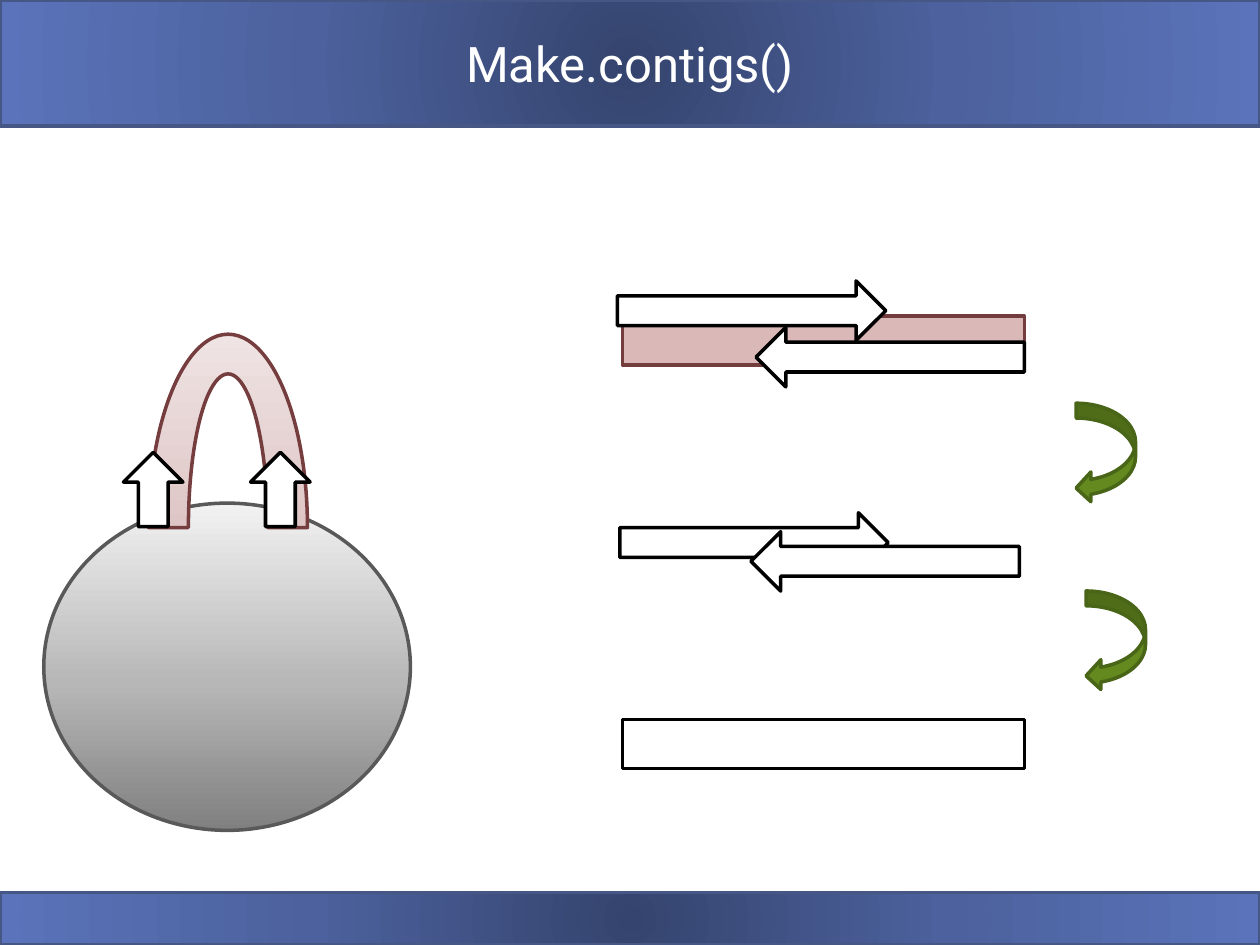
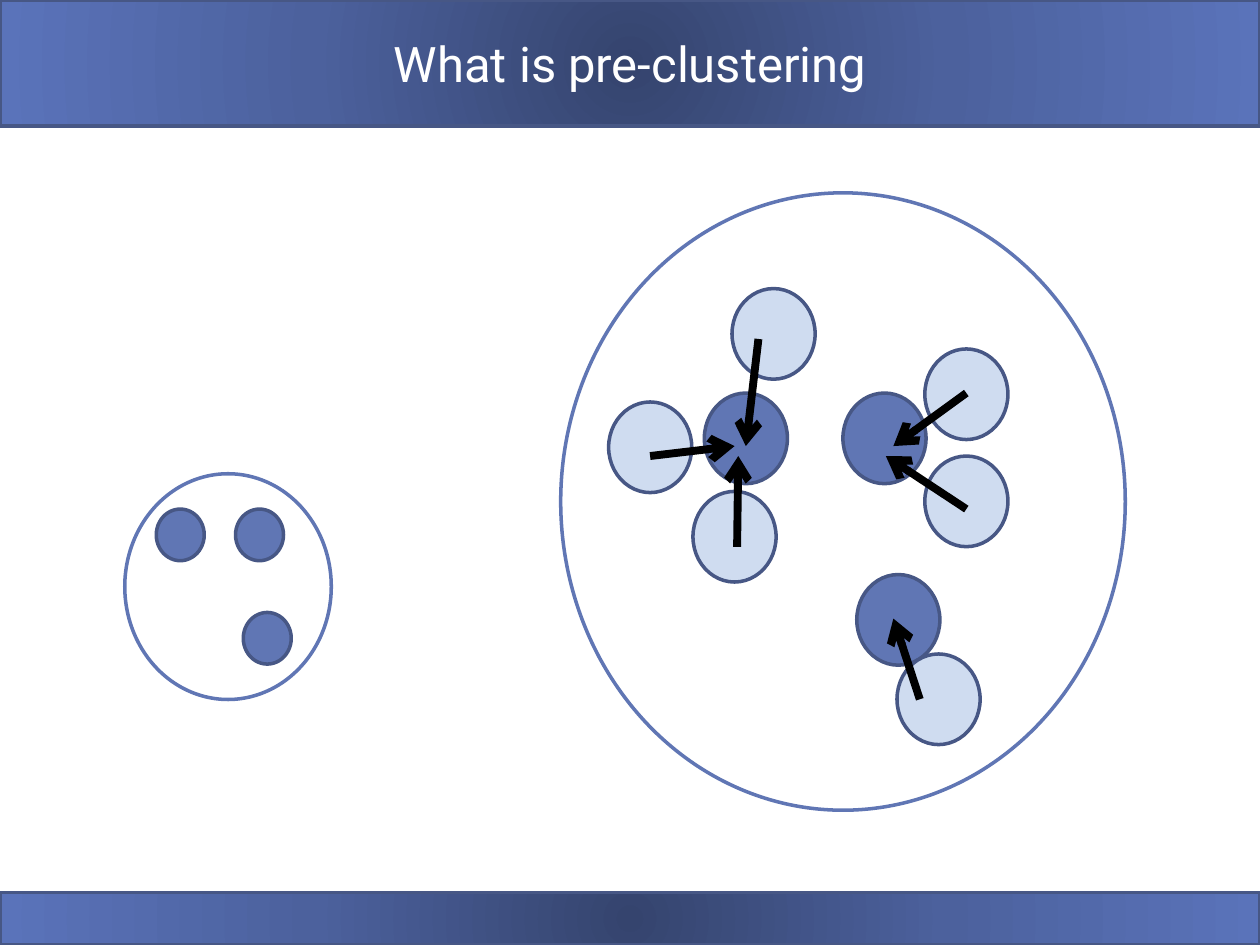
from dataclasses import dataclass

from lxml.etree import SubElement
from pptx import Presentation
from pptx.dml.color import RGBColor
from pptx.enum.shapes import MSO_CONNECTOR as Connector, MSO_SHAPE as Shape
from pptx.enum.text import MSO_ANCHOR as Anchor, PP_ALIGN as Align
from pptx.oxml.ns import qn
from pptx.util import Pt


@dataclass(frozen=True)
class Theme:
    font: str = "Roboto"
    title_size: float = 28
    outline: float = 2
    arrow_width: float = 4.5
    white: str = "FFFFFF"
    black: str = "000000"
    blue: str = "6076B4"
    blue_edge: str = "475785"
    pale_blue: str = "CFDCF0"
    grey_edge: str = "595959"
    loop_edge: str = "753D3D"
    pink: str = "DAB8B8"
    pink_edge: str = "733D3D"
    green: str = "63891F"
    green_edge: str = "496517"
    band_stops: tuple = ((0, "35446E"), (50, "4C619D"), (100, "5A73BA"))
    cell_stops: tuple = ((0, "808080"), (45, "B7B7B7"), (100, "F2F2F2"))
    loop_stops: tuple = ((0, "CEA1A1"), (50, "DFC6C6"), (100, "EFE3E3"))


THEME = Theme()

# Content: all lengths in points
PAGE = (720, 540)
BANDS = [(0, 0, 720, 72), (0, 510, 720, 30)]
TITLE_BOX = (72, 0, 576, 72)

CONTIGS_TITLE = "Make.contigs()"
CELL = (25, 287.5, 209.5, 187)
DNA_LOOP = (85, 191, 90.7, 221)
PRIMER_SIZE = (34, 42.5)
PRIMER_CENTERS = [(87.5, 279.7), (160.2, 279.7)]
TARGET_SIZE = (229.7, 28)
TARGET_LEFT = 355.7
TARGET_TOP, CONTIG_TOP = 180.7, 411.1
READ_SIZE = (34, 153.4)
# Each pair: centre of the forward read, centre of the reverse read
READ_PAIRS = [
    ((429.5, 177.5), (508.7, 204.1)),
    ((430.9, 310), (505.8, 320.8)),
]
STEP_SIZE = (34, 57)
STEP_CORNERS = [(614.9, 230.4), (620.6, 337.7)]

CLUSTER_TITLE = "What is pre-clustering"
SMALL_RING = (71.3, 270.7, 118, 129)
SMALL_DOT = (27.4, 29.5)
SMALL_CORES = [(139, 350), (89.3, 290.9), (134.6, 290.9)]
BIG_RING = (320.4, 110.2, 322.6, 352.8)
BIG_DOT = (47.5, 51.8)
BIG_CORES = [(489.6, 328.3), (402.5, 224.6), (481.7, 224.6)]
# Each variant: corner of its dot, start and end of its merge arrow
VARIANTS = [
    ((418.3, 164.9), (433.4, 193.7), (426.2, 254.9)),
    ((347.8, 229.7), (371.5, 260.6), (419.8, 254.9)),
    ((396, 280.8), (421.2, 312.5), (421.9, 260.6)),
    ((528.5, 199.4), (552.2, 224.6), (510.5, 254.9)),
    ((528.5, 260.6), (552.2, 290.9), (506.2, 260.6)),
    ((512.6, 373.7), (525.6, 399.6), (510.5, 353.5)),
]


# Drawing helpers
def points(values):
    return [Pt(value) for value in values]


def centered(center, size):
    return (center[0] - size[0] / 2, center[1] - size[1] / 2, *size)


def add_gradient(shape, stops, radial=False):
    shape.fill.gradient()
    gradient = shape.element.spPr.find(qn("a:gradFill"))
    for child in list(gradient):
        gradient.remove(child)
    stop_list = SubElement(gradient, qn("a:gsLst"))
    for position, color in stops:
        stop = SubElement(stop_list, qn("a:gs"), pos=str(position * 1000))
        SubElement(stop, qn("a:srgbClr"), val=color)
    if radial:
        route = SubElement(gradient, qn("a:path"), path="circle")
        SubElement(route, qn("a:fillToRect"),
                   dict.fromkeys("ltrb", "50000"))
    else:
        SubElement(gradient, qn("a:lin"), ang="16200000", scaled="0")


def add_figure(shapes, kind, box, edge, fill=None, turn=0):
    figure = shapes.add_shape(kind, *points(box))
    figure.shadow.inherit = False
    figure.rotation = turn
    figure.line.color.rgb = RGBColor.from_string(edge)
    figure.line.width = Pt(THEME.outline)
    if fill:
        figure.fill.solid()
        figure.fill.fore_color.rgb = RGBColor.from_string(fill)
    else:
        figure.fill.background()
    return figure


def add_merge_arrow(shapes, start, end):
    arrow = shapes.add_connector(Connector.STRAIGHT, *points(start + end))
    arrow.line.color.rgb = RGBColor.from_string(THEME.black)
    arrow.line.width = Pt(THEME.arrow_width)
    SubElement(arrow.line._get_or_add_ln(), qn("a:tailEnd"), type="arrow")
    SubElement(arrow.element.spPr, qn("a:effectLst"))


def place(shape, box):
    shape.left, shape.top, shape.width, shape.height = points(box)


# Shared layout: bands behind a centred title
def add_bands(layout, page):
    tree = layout.element.cSld.spTree
    for index, box in enumerate(BANDS):
        band = add_figure(page.shapes, Shape.RECTANGLE, box, THEME.blue_edge)
        add_gradient(band, THEME.band_stops, radial=True)
        band.element.nvSpPr.cNvPr.set("id", str(100 + index))
        tree.insert(2 + index, band.element)


def add_page(deck, layout, title):
    page = deck.slides.add_slide(layout)
    box = page.shapes.title
    place(box, TITLE_BOX)
    frame = box.text_frame
    frame.vertical_anchor = Anchor.MIDDLE
    para = frame.paragraphs[0]
    para.alignment = Align.CENTER
    span = para.add_run()
    span.text = title
    span.font.name = THEME.font
    span.font.size = Pt(THEME.title_size)
    span.font.color.rgb = RGBColor.from_string(THEME.white)
    return page


# Slide 1: primers on a cell, then reads joined into a contig
def draw_contigs(shapes):
    cell = add_figure(shapes, Shape.OVAL, CELL, THEME.grey_edge)
    add_gradient(cell, THEME.cell_stops)
    loop = add_figure(shapes, Shape.BLOCK_ARC, DNA_LOOP, THEME.loop_edge)
    add_gradient(loop, THEME.loop_stops)
    for center in PRIMER_CENTERS:
        add_figure(shapes, Shape.DOWN_ARROW, centered(center, PRIMER_SIZE),
                   THEME.black, THEME.white, turn=180)

    bars = [(TARGET_TOP, THEME.pink_edge, THEME.pink),
            (CONTIG_TOP, THEME.black, THEME.white)]
    for top, edge, fill in bars:
        add_figure(shapes, Shape.RECTANGLE, (TARGET_LEFT, top, *TARGET_SIZE),
                   edge, fill)
    for pair in READ_PAIRS:
        for center, turn in zip(pair, (270, 90)):
            add_figure(shapes, Shape.DOWN_ARROW, centered(center, READ_SIZE),
                       THEME.black, THEME.white, turn)
    for corner in STEP_CORNERS:
        add_figure(shapes, Shape.CURVED_LEFT_ARROW, corner + STEP_SIZE,
                   THEME.green_edge, THEME.green)


# Slide 2: variants merging into their cluster cores
def draw_cluster(shapes, ring, cores, dot_size):
    for corner in cores:
        add_figure(shapes, Shape.OVAL, corner + dot_size,
                   THEME.blue_edge, THEME.blue)
    add_figure(shapes, Shape.OVAL, ring, THEME.blue)


def draw_preclustering(shapes):
    draw_cluster(shapes.add_group_shape().shapes,
                 SMALL_RING, SMALL_CORES, SMALL_DOT)
    draw_cluster(shapes, BIG_RING, BIG_CORES, BIG_DOT)
    for corner, _, _ in VARIANTS:
        add_figure(shapes, Shape.OVAL, corner + BIG_DOT,
                   THEME.blue_edge, THEME.pale_blue)
    for _, start, end in VARIANTS:
        add_merge_arrow(shapes, start, end)


def main():
    deck = Presentation()
    deck.slide_width, deck.slide_height = points(PAGE)
    layout = deck.slide_layouts.get_by_name("Title Only")
    contigs = add_page(deck, layout, CONTIGS_TITLE)
    add_bands(layout, contigs)
    draw_contigs(contigs.shapes)
    draw_preclustering(add_page(deck, layout, CLUSTER_TITLE).shapes)
    deck.save("out.pptx")


if __name__ == "__main__":
    main()
